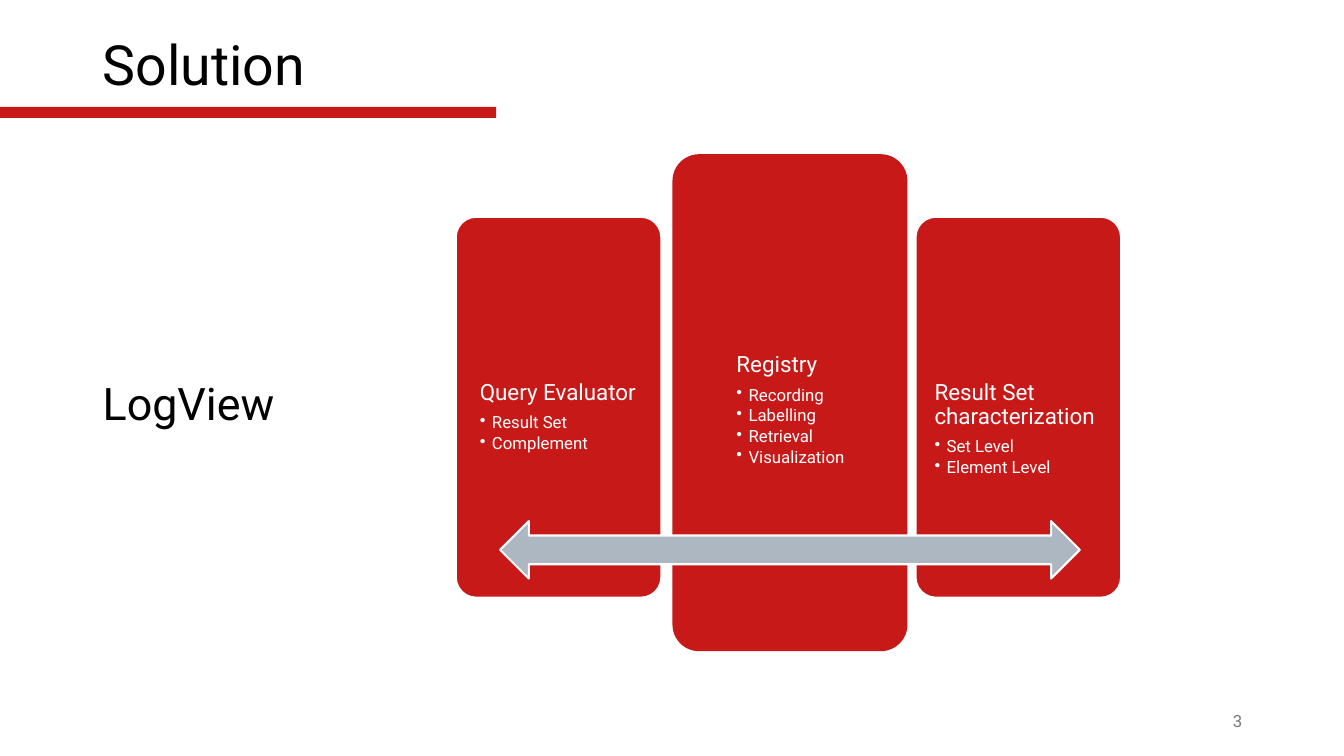
import pptx
import pptx.dml.color
import pptx.enum.shapes
import pptx.enum.text
import pptx.oxml.ns
import pptx.util
from lxml import etree

Inches = pptx.util.Inches
Pt = pptx.util.Pt
Shapes = pptx.enum.shapes.MSO_SHAPE
Anchor = pptx.enum.text.MSO_ANCHOR
Align = pptx.enum.text.PP_ALIGN


class SlideBuilder:
    """Holds the style and the slide being built."""

    colours = {"red": "C81919", "arrow": "ACB7C1", "white": "FFFFFF", "black": "000000", "grey": "797979"}
    font = "Roboto"

    def __init__(self, slide):
        self.slide = slide

    def rgb(self, colour):
        return pptx.dml.color.RGBColor.from_string(self.colours[colour])

    def apply(self, target, values):
        for name, value in values.items():
            setattr(target, name, value)

    def shape(self, kind, box, fill, line=None):
        part = self.slide.shapes.add_shape(kind, *map(Inches, box))
        part.shadow.inherit = False
        part.fill.solid()
        part.fill.fore_color.rgb = self.rgb(fill)
        if line:
            part.line.color.rgb = self.rgb(line)
            part.line.width = Pt(1.5)
        else:
            part.line.fill.background()
        return part

    def set_text(self, paragraph, text, size, colour, **layout):
        paragraph.text = text
        self.apply(paragraph, layout)
        self.apply(paragraph.font, {"name": self.font, "size": Pt(size)})
        paragraph.font.color.rgb = self.rgb(colour)

    def label(self, box, text, size, colour="black", anchor=Anchor.MIDDLE, **layout):
        frame = self.slide.shapes.add_textbox(*map(Inches, box)).text_frame
        self.apply(frame, {"word_wrap": True, "vertical_anchor": anchor})
        self.set_text(frame.paragraphs[0], text, size, colour, **layout)

    def bullet(self, paragraph):
        properties = paragraph._p.get_or_add_pPr()
        properties.set("marL", str(Inches(0.12)))
        properties.set("indent", str(-Inches(0.12)))
        mark = etree.SubElement(properties, pptx.oxml.ns.qn("a:buChar"))
        mark.set("char", "•")

    def card(self, box, line, corner, left, top, heading, items):
        card = self.shape(Shapes.ROUNDED_RECTANGLE, box, "red", line)
        card.adjustments[0] = corner
        frame = card.text_frame
        self.apply(frame, {
            "word_wrap": True,
            "vertical_anchor": Anchor.TOP,
            "margin_left": Inches(left),
            "margin_top": Inches(top),
            "margin_right": Inches(0.06),
            "margin_bottom": Inches(0.8),
        })
        layout = {"alignment": Align.LEFT, "line_spacing": 0.9}
        self.set_text(frame.paragraphs[0], heading, 16, "white", space_after=Pt(6.5), **layout)
        for item in items:
            paragraph = frame.add_paragraph()
            self.bullet(paragraph)
            self.set_text(paragraph, item, 12, "white", level=1, space_after=Pt(1.9), **layout)


def main():
    presentation = pptx.Presentation()
    presentation.slide_width = Inches(13.33)
    presentation.slide_height = Inches(7.5)
    builder = SlideBuilder(presentation.slides.add_slide(presentation.slide_layouts[6]))

    builder.shape(Shapes.RECTANGLE, (0, 1.06, 4.92, 0.11), "red")
    builder.label((0.92, 0.31, 11.5, 0.73), "Solution", 39.6, line_spacing=0.9)

    components = [
        ((4.52, 2.15, 2.04, 3.78), "white", 0.1, 0.18, 1.57,
         "Query Evaluator", ["Result Set", "Complement"]),
        ((6.68, 1.54, 2.31, 4.91), "red", 0.11, 0.55, 1.89,
         "Registry", ["Recording", "Labelling", "Retrieval", "Visualization"]),
        ((9.08, 2.15, 2.04, 3.78), "white", 0.1, 0.13, 1.57,
         "Result Set characterization", ["Set Level", "Element Level"]),
    ]
    for component in components:
        builder.card(*component)

    builder.shape(Shapes.LEFT_RIGHT_ARROW, (4.96, 5.17, 5.75, 0.57), "arrow", "white")
    builder.label((11.86, 6.95, 0.56, 0.4), "3", 12, "grey", alignment=Align.RIGHT)
    builder.label((0.92, 3.68, 2, 0.64), "LogView", 32, anchor=Anchor.TOP)
    presentation.save("out.pptx")


if __name__ == "__main__":
    main()
